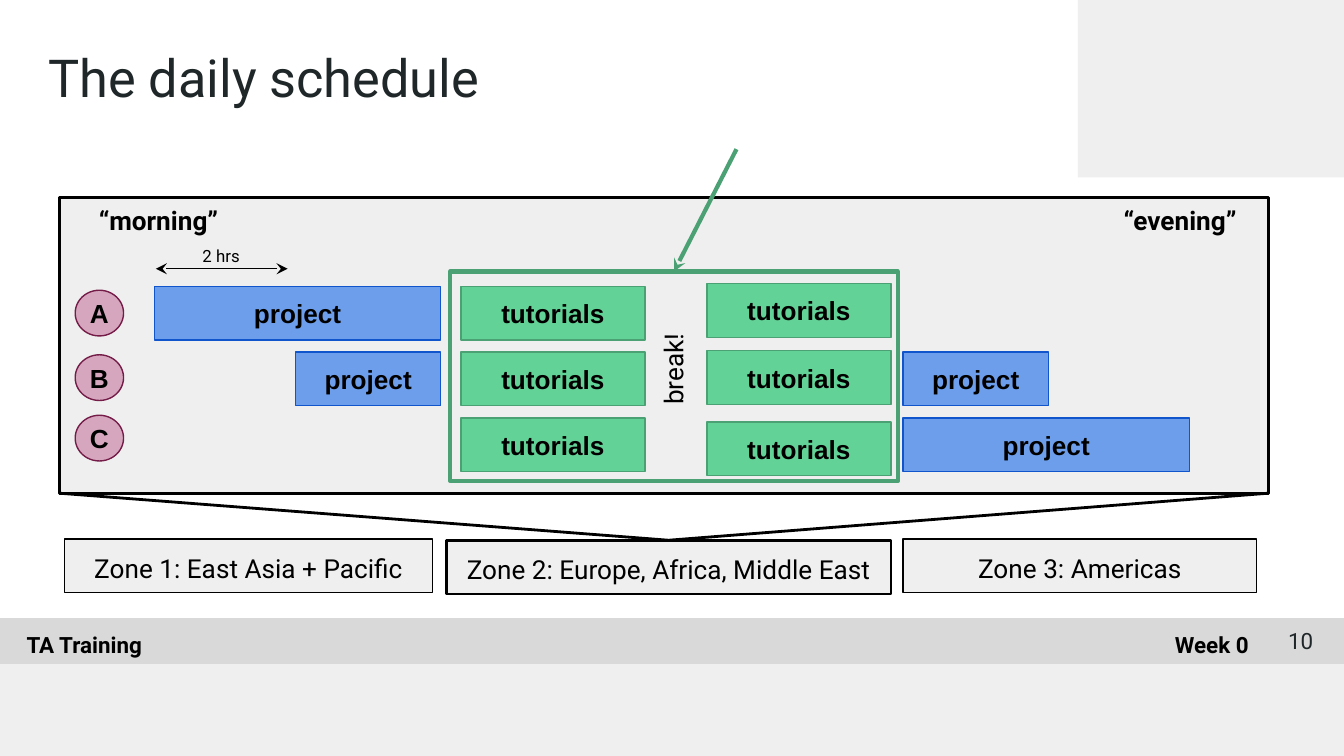
"""Build the daily schedule slide for the TA training deck."""
from lxml.etree import SubElement
from pptx import Presentation
from pptx.dml.color import RGBColor
from pptx.enum.shapes import MSO_CONNECTOR, MSO_SHAPE
from pptx.enum.text import MSO_ANCHOR, MSO_AUTO_SIZE, PP_ALIGN
from pptx.oxml.ns import qn
from pptx.util import Inches, Pt

LEFT, CENTER, RIGHT = PP_ALIGN.LEFT, PP_ALIGN.CENTER, PP_ALIGN.RIGHT
TOP, MIDDLE = MSO_ANCHOR.TOP, MSO_ANCHOR.MIDDLE
BLACK, INK, PALE, GREEN = "000000", "202729", "EFEFEF", "4BA173"

TITLE = "The daily schedule"
BACKDROP = [
    ((0, 4.94, 10, 0.69), PALE),
    ((8.02, 0, 1.98, 1.32), PALE),
    ((0, 4.6, 10, 0.34), "D9D9D9"),
]
FOOTER = [
    ("TA Training", (0.1, 4.6, 4.48, 0.34), LEFT, TOP, True, BLACK),
    ("Week 0", (5.52, 4.6, 3.87, 0.34), RIGHT, TOP, True, BLACK),
    ("10", (9.27, 4.6, 0.6, 0.34), RIGHT, MIDDLE, False, INK),
]
PANEL = (0.44, 1.47, 9, 2.2)
DAY_ENDS = [("“morning”", 0.44), ("“evening”", 8.04)]
ZONES = [
    ("Zone 1: East Asia + Pacific", (0.48, 4.01, 2.74, 0.4), 0.75),
    ("Zone 3: Americas", (6.72, 4.01, 2.63, 0.4), 0.75),
    ("Zone 2: Europe, Africa, Middle East", (3.32, 4.02, 3.31, 0.4), 1.5),
]
KINDS = {"tutorials": ("63D297", GREEN), "project": ("6D9EEB", "1155CC")}
GROUPS = [
    ("A", 2.16, [("project", 1.15, 2.13, 2.13), ("tutorials", 3.43, 2.13, 1.37),
                 ("tutorials", 5.26, 2.11, 1.37)]),
    ("B", 2.64, [("project", 2.2, 2.62, 1.08), ("tutorials", 3.43, 2.62, 1.37),
                 ("tutorials", 5.26, 2.61, 1.37), ("project", 6.72, 2.62, 1.08)]),
    ("C", 3.09, [("tutorials", 3.43, 3.11, 1.37), ("tutorials", 5.26, 3.14, 1.37),
                 ("project", 6.72, 3.11, 2.13)]),
]
SHARED_FRAME = (3.35, 2.02, 3.33, 1.56)


def rgb(code):
    return RGBColor.from_string(code)


def write(sp, text, size, font="Roboto", color=BLACK, bold=False, align=CENTER, anchor=TOP, inset=0.1):
    tf = sp.text_frame
    tf.text = text
    tf.word_wrap = True
    tf.auto_size = MSO_AUTO_SIZE.NONE
    tf.vertical_anchor = anchor
    tf.margin_left = tf.margin_top = tf.margin_right = tf.margin_bottom = Inches(inset)
    p = tf.paragraphs[0]
    p.alignment = align
    f = p.runs[0].font
    f.name, f.size, f.bold = font, Pt(size), bold
    f.color.rgb = rgb(color)


def add_box(s, at, fill=None, line=None, width=0.75, kind=MSO_SHAPE.RECTANGLE):
    sp = s.shapes.add_shape(kind, *map(Inches, at))
    sp.shadow.inherit = False
    if fill:
        sp.fill.solid()
        sp.fill.fore_color.rgb = rgb(fill)
    else:
        sp.fill.background()
    if line:
        sp.line.color.rgb = rgb(line)
        sp.line.width = Pt(width)
    else:
        sp.line.fill.background()
    return sp


def add_label(s, text, at, size, **style):
    sp = s.shapes.add_textbox(*map(Inches, at))
    write(sp, text, size, **style)
    return sp


def add_line(s, start, end, color, width, arrows=(), target=None):
    cx = s.shapes.add_connector(MSO_CONNECTOR.STRAIGHT, *map(Inches, start + end))
    cx.line.color.rgb = rgb(color)
    cx.line.width = Pt(width)
    ln = cx._element.spPr.find(qn("a:ln"))
    for tag in arrows:
        SubElement(ln, qn(tag), type="stealth", w="med", len="med")
    SubElement(cx._element.spPr, qn("a:effectLst"))
    if target is not None:
        cx.end_connect(target, 0)


def main():
    prs = Presentation()
    prs.slide_width, prs.slide_height = Inches(10), Inches(10 * 9 / 16)
    s = prs.slides.add_slide(prs.slide_layouts[5])

    for at, fill in BACKDROP:
        add_box(s, at, fill)
    title = s.shapes.title
    title.left, title.top, title.width, title.height = map(Inches, (0.26, 0.24, 9.32, 0.63))
    write(title, TITLE, 28, color=INK, align=LEFT)
    for text, at, align, anchor, bold, color in FOOTER:
        add_label(s, text, at, 12, align=align, anchor=anchor, bold=bold, color=color)

    add_box(s, PANEL, PALE, BLACK, 1.5)
    for text, x in DAY_ENDS:
        add_label(s, text, (x, 1.42, 1.48, 0.39), 14, bold=True)
    for text, at, width in ZONES:
        zone = add_box(s, at, PALE, BLACK, width)
        write(zone, text, 14)
    left, top, width, height = PANEL
    for x in (left, left + width):
        add_line(s, (x, top + height), (4.97, 4.02), BLACK, 1.5, target=zone)

    for name, y, blocks in GROUPS:
        for text, x, block_top, block_width in blocks:
            block = add_box(s, (x, block_top, block_width, 0.4), *KINDS[text])
            write(block, text, 14, "Arial", bold=True, anchor=MIDDLE)
        badge = add_box(s, (0.56, y, 0.36, 0.34), "D5A6BD", "741B47", kind=MSO_SHAPE.OVAL)
        write(badge, name, 14, "Arial", bold=True, anchor=MIDDLE, inset=0)

    add_line(s, (1.16, 2), (2.14, 2), BLACK, 0.75, ("a:headEnd", "a:tailEnd"))
    add_label(s, "2 hrs", (1.15, 1.73, 0.99, 0.39), 9)
    add_label(s, "break!", (4.39, 2.28, 1.23, 0.43), 14, align=LEFT).rotation = 270

    frame = add_box(s, SHARED_FRAME, line=GREEN, width=2.25)
    add_line(s, (5.48, 1.11), (5.02, 2.02), GREEN, 2.25, ("a:tailEnd",), frame)
    prs.save("out.pptx")


if __name__ == "__main__":
    main()
